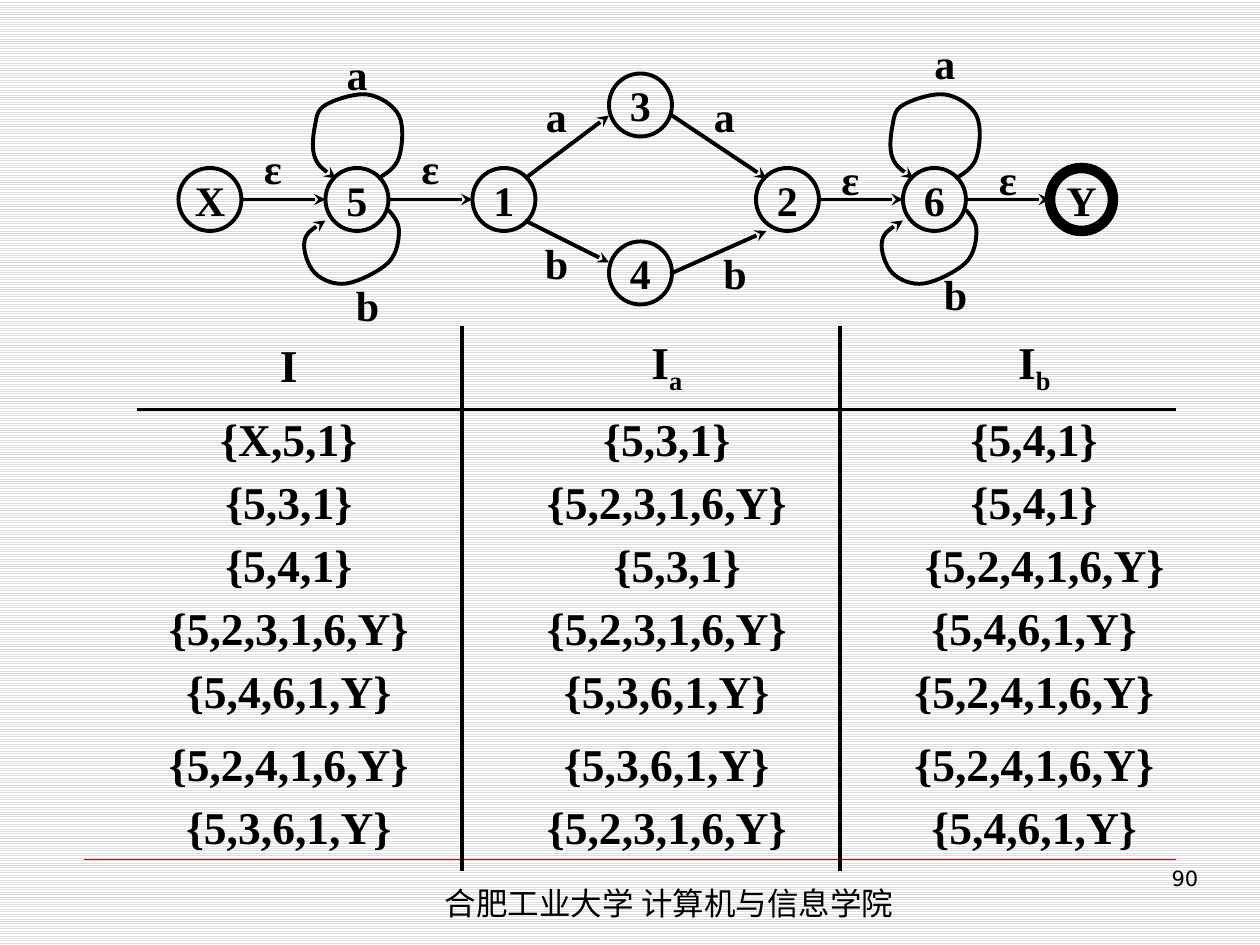
from collections import namedtuple

from lxml.etree import SubElement
from pptx import Presentation
from pptx.dml.color import RGBColor
from pptx.enum.dml import MSO_PATTERN
from pptx.enum.shapes import MSO_CONNECTOR, MSO_SHAPE
from pptx.enum.text import MSO_ANCHOR, PP_ALIGN
from pptx.oxml.ns import qn
from pptx.util import Inches, Pt

COLORS = {"ink": "000000", "rule": "CC0000", "stripe": "DDDDDD", "paper": "FFFFFF"}
SERIF, SANS, CHINESE = "Times New Roman", "DejaVu Sans", "Noto Sans CJK SC"
COLUMNS, ROWS = 120, 90
STATE_SIZE = 6
Box = namedtuple("Box", "left top width height")

STATES = {"X": (0, 13), "5": (14, 13), "1": (28, 13), "3": (41, 4),
          "4": (41, 20), "2": (55, 13), "6": (69, 13), "Y": (83, 13)}
ARROWS = [((6, 16), (14, 16)), ((20, 16), (28, 16)),
          ((33, 14), (41, 8)), ((33, 18), (41, 22)),
          ((47, 8), (56, 14)), ((47, 23), (56, 19)),
          ((61, 16), (69, 16)), ((75, 16), (83, 16))]
LABELS = {"ε": [(6, 10), (21, 10), (61, 11), (76, 11)],
          "a": [(14, 1), (33, 5), (49, 5), (70, 0)],
          "b": [(15, 23), (33, 19), (50, 20), (71, 22)]}
UPPER_LOOP = [(5, 1), (7, -1), (7, -5), (4, -7), (0, -6), (-1, -4), (-1, -1), (1, 1)]
LOWER_LOOP = [(6, 4), (7, 6), (6, 9), (2, 11), (-1, 10), (-2, 7), (0, 5)]

SUBSETS = [
    ("{X,5,1}", "{5,3,1}", "{5,4,1}"),
    ("{5,3,1}", "{5,2,3,1,6,Y}", "{5,4,1}"),
    ("{5,4,1}", "{5,3,1}", "{5,2,4,1,6,Y}"),
    ("{5,2,3,1,6,Y}", "{5,2,3,1,6,Y}", "{5,4,6,1,Y}"),
    ("{5,4,6,1,Y}", "{5,3,6,1,Y}", "{5,2,4,1,6,Y}"),
    ("{5,2,4,1,6,Y}", "{5,3,6,1,Y}", "{5,2,4,1,6,Y}"),
    ("{5,3,6,1,Y}", "{5,2,3,1,6,Y}", "{5,4,6,1,Y}"),
]
COLUMN_WIDTHS = [31, 36, 32]
ROW_HEIGHTS = [8, 6, 6, 6, 6, 6, 7, 7]
COLUMN_MARGINS = [(0, 2), (3, 0), (5, 0)]
ROW_MARGINS = {6: (1, 0), 7: (0, 1)}
SHIFTED_CELLS = {(3, 1), (3, 2)}


def grid(cells):
    """Turn grid cells into a length."""
    return Inches(cells * 10 / COLUMNS)


def color(name):
    """Look up a colour by name."""
    return RGBColor.from_string(COLORS[name])


def style_paragraph(paragraph, size, font=SERIF, bold=True, align=PP_ALIGN.CENTER):
    """Set the look of a whole paragraph."""
    paragraph.alignment = align
    paragraph.font.size = Pt(size)
    paragraph.font.name = font
    paragraph.font.bold = bold
    paragraph.font.color.rgb = color("ink")


def style_line(shape, width=2.25, name="ink", arrow=False):
    """Set the outline of a shape and drop its shadow."""
    shape.line.color.rgb = color(name)
    shape.line.width = Pt(width)
    if arrow:
        SubElement(shape.line._get_or_add_ln(), qn("a:tailEnd"), type="stealth")
    SubElement(shape._element.spPr, qn("a:effectLst"))


def add_line(slide, start, end, **style):
    """Draw a straight line between two grid points."""
    ends = [grid(value) for value in (*start, *end)]
    connector = slide.shapes.add_connector(MSO_CONNECTOR.STRAIGHT, *ends)
    style_line(connector, **style)


def add_text(slide, box, text, size, wrap=False, anchor=MSO_ANCHOR.MIDDLE, **style):
    """Place a text box on the grid and return its paragraph."""
    shape = slide.shapes.add_textbox(*map(grid, box))
    shape.text_frame.word_wrap = wrap
    shape.text_frame.vertical_anchor = anchor
    paragraph = shape.text_frame.paragraphs[0]
    paragraph.text = text
    style_paragraph(paragraph, size, **style)
    return paragraph


def add_state(slide, left, top, name):
    """Draw one state, with a heavy ring for the final one."""
    box = Box(left, top, STATE_SIZE, STATE_SIZE)
    shape = slide.shapes.add_shape(MSO_SHAPE.OVAL, *map(grid, box))
    shape.fill.background()
    style_line(shape, width=6 if name == "Y" else 2.25)
    shape.text_frame.word_wrap = False
    shape.text_frame.vertical_anchor = MSO_ANCHOR.MIDDLE
    paragraph = shape.text_frame.paragraphs[0]
    paragraph.text = name
    style_paragraph(paragraph, 24)


def spline_points(knots):
    """List the Bezier points of a smooth curve through the knots."""
    def move(point, toward, away, share):
        return tuple(p + (t - a) * share for p, t, a in zip(point, toward, away))

    points = []
    last = len(knots) - 2
    for i, (start, end) in enumerate(zip(knots, knots[1:])):
        first = move(start, end, knots[i - 1], 1 / 6) if i > 0 else None
        second = move(end, start, knots[i + 2], 1 / 6) if i < last else None
        first = first or move(start, second, start, 1 / 2)
        second = second or move(end, first, end, 1 / 2)
        points += [first, second, end]
    return points


def add_loop(slide, left, top, knots):
    """Draw a curved arrow from a state back to itself."""
    start, *points = [(grid(left + x), grid(top + y))
                      for x, y in [knots[0], *spline_points(knots)]]
    builder = slide.shapes.build_freeform(*start)
    builder.add_line_segments(points, close=False)
    shape = builder.convert_to_shape()
    outline = shape._element.find(".//" + qn("a:path"))
    segments = outline.findall(qn("a:lnTo"))
    for i in range(0, len(segments), 3):
        curve = SubElement(outline, qn("a:cubicBezTo"))
        for segment in segments[i:i + 3]:
            curve.append(segment[0])
            outline.remove(segment)
    shape.fill.background()
    style_line(shape, arrow=True)


def draw_automaton(slide, box):
    """Draw states, transitions and their labels."""
    for name, (x, y) in STATES.items():
        add_state(slide, box.left + x, box.top + y, name)
        if name in "56":
            for knots in (UPPER_LOOP, LOWER_LOOP):
                add_loop(slide, box.left + x, box.top + y, knots)
    for arrow in ARROWS:
        start, end = [(box.left + x, box.top + y) for x, y in arrow]
        add_line(slide, start, end, arrow=True)
    for label, places in LABELS.items():
        for x, y in places:
            add_text(slide, Box(box.left + x, box.top + y, STATE_SIZE, STATE_SIZE), label, 24)


def set_borders(cell, sides):
    """Draw the named sides of a cell and hide the others."""
    properties = cell._tc.get_or_add_tcPr()
    for side in "LRTB":
        line = SubElement(properties, qn("a:ln" + side), w=str(Pt(2.25)))
        if side in sides:
            fill = SubElement(line, qn("a:solidFill"))
            SubElement(fill, qn("a:srgbClr"), val=COLORS["ink"])
        else:
            SubElement(line, qn("a:noFill"))


def draw_subset_table(slide, box):
    """Build the subset construction table."""
    table = slide.shapes.add_table(len(ROW_HEIGHTS), len(COLUMN_WIDTHS), *map(grid, box)).table
    table.first_row = table.horz_banding = False
    for column, width in zip(table.columns, COLUMN_WIDTHS):
        column.width = grid(width)
    for r, values in enumerate([("I", "I", "I"), *SUBSETS]):
        table.rows[r].height = grid(ROW_HEIGHTS[r])
        for c, value in enumerate(values):
            cell = table.cell(r, c)
            left, right = COLUMN_MARGINS[c]
            top, bottom = ROW_MARGINS.get(r, (0, 0))
            cell.margin_left = grid(left + 2 * ((r, c) in SHIFTED_CELLS))
            cell.margin_right = grid(right)
            cell.margin_top, cell.margin_bottom = grid(top), grid(bottom)
            cell.vertical_anchor = MSO_ANCHOR.MIDDLE
            set_borders(cell, ("L" if c > 0 else "") + ("R" if c < 2 else "")
                        + ("B" if r == 0 else "") + ("T" if r == 1 else ""))
            cell.fill.background()
            paragraph = cell.text_frame.paragraphs[0]
            paragraph.add_run().text = value
            if r == 0 and c > 0:
                subscript = paragraph.add_run()
                subscript.text = " ab"[c]
                subscript.font._element.set("baseline", "-25000")
            style_paragraph(paragraph, 26)


def draw_footer(slide, box):
    """Place the footer rule, the school name and the page number."""
    add_line(slide, (box.left, box.top), (box.left + box.width, box.top), width=0.25, name="rule")
    school = add_text(slide, Box(box.left + 33.2, box.top + 1.8, 56.6, 4.8),
                      "合肥工业大学 计算机与信息学院", 18, wrap=True, anchor=MSO_ANCHOR.TOP,
                      font=CHINESE, bold=False, align=PP_ALIGN.LEFT)
    SubElement(school.font._element, qn("a:ea"), typeface=CHINESE)
    add_text(slide, Box(box.left + 81.3, box.top, 26, box.height), "90", 12, wrap=True,
             anchor=MSO_ANCHOR.TOP, font=SANS, bold=False, align=PP_ALIGN.RIGHT)


def main():
    """Build the slide and save it."""
    presentation = Presentation()
    presentation.slide_width, presentation.slide_height = grid(COLUMNS), grid(ROWS)
    slide = presentation.slides.add_slide(presentation.slide_layouts[6])
    fill = slide.background.fill
    fill.patterned()
    fill.pattern = MSO_PATTERN.LIGHT_HORIZONTAL
    fill.fore_color.rgb, fill.back_color.rgb = color("stripe"), color("paper")
    draw_footer(slide, Box(8, 81.8, 104, 6.2))
    draw_subset_table(slide, Box(13, 31, sum(COLUMN_WIDTHS), sum(ROW_HEIGHTS)))
    draw_automaton(slide, Box(17, 3, 89, 29))
    presentation.save("out.pptx")


if __name__ == "__main__":
    main()
